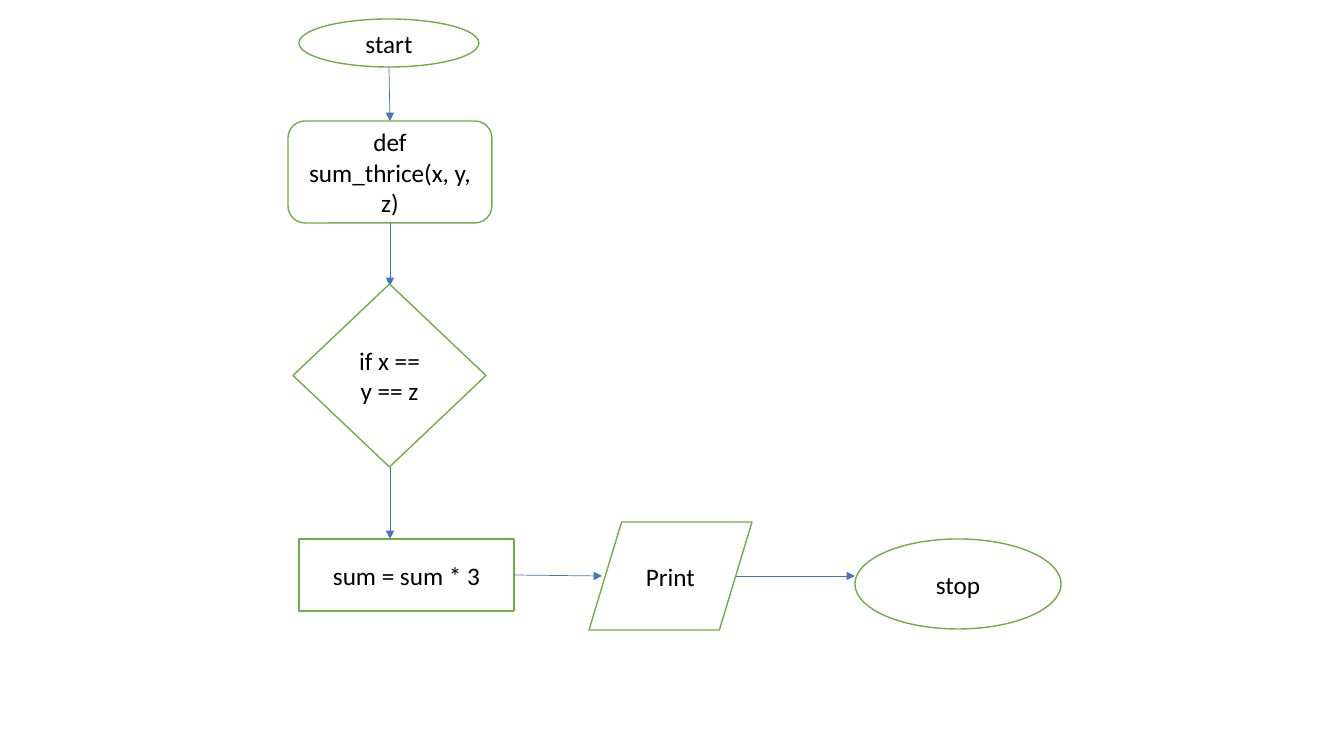
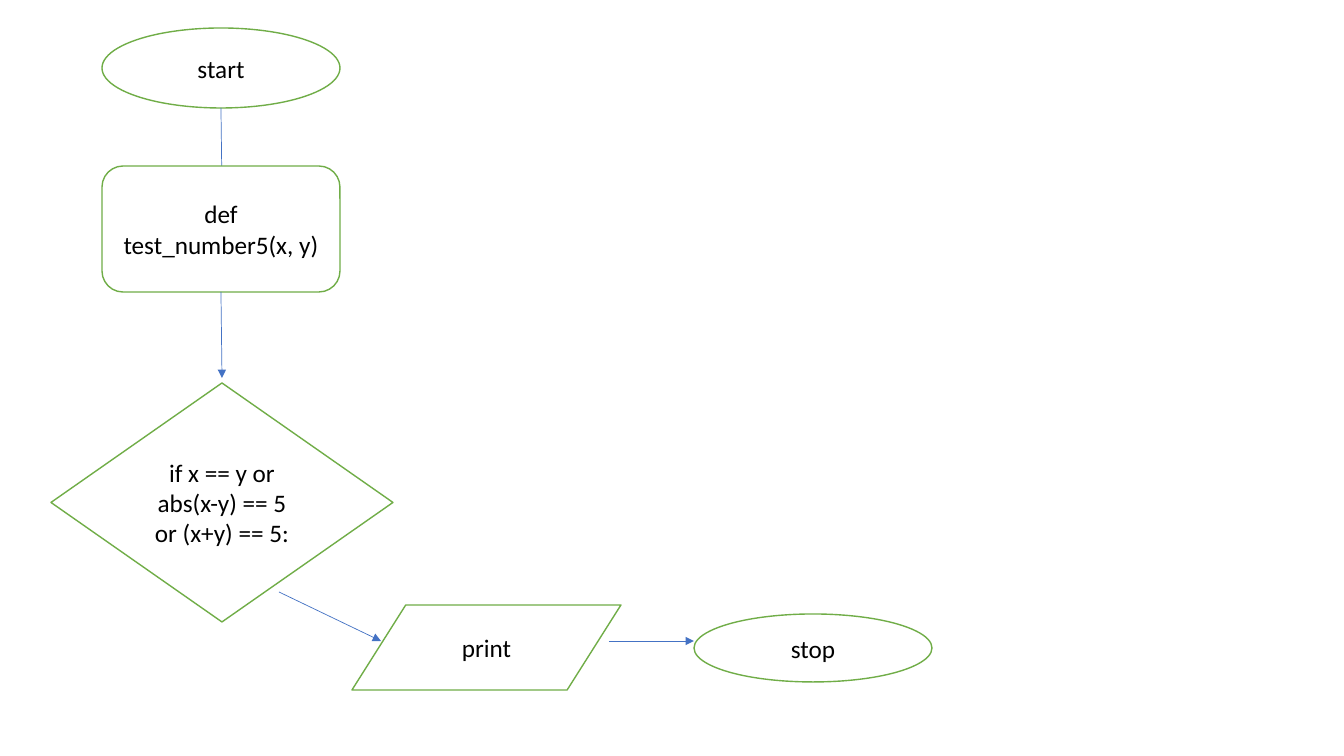
"""Draw two flowcharts, one on each slide."""
from typing import NamedTuple, Optional

from lxml import etree
from pptx import Presentation
from pptx.dml.color import RGBColor
from pptx.enum.shapes import MSO_CONNECTOR, MSO_SHAPE
from pptx.enum.text import MSO_ANCHOR, PP_ALIGN
from pptx.oxml.ns import qn
from pptx.slide import Slide
from pptx.text.text import TextFrame
from pptx.util import Emu, Pt

OVAL = MSO_SHAPE.OVAL
ROUND = MSO_SHAPE.FLOWCHART_ALTERNATE_PROCESS
TEST = MSO_SHAPE.FLOWCHART_DECISION
TASK = MSO_SHAPE.FLOWCHART_PROCESS
DATA = MSO_SHAPE.FLOWCHART_DATA
STRAIGHT = MSO_CONNECTOR.STRAIGHT
MIDDLE = MSO_ANCHOR.MIDDLE
CENTER = PP_ALIGN.CENTER

WHITE = RGBColor(0xFF, 0xFF, 0xFF)
BLACK = RGBColor(0x00, 0x00, 0x00)
GREEN = RGBColor(0x70, 0xAD, 0x47)
BLUE = RGBColor(0x44, 0x72, 0xC4)
FONT = "Calibri"
SCALE = 914400 / 100.8
WIDTH, HEIGHT = 1344, 756
BLANK = 6


class Arrow(NamedTuple):
    """Start and end of an arrow, in pixels."""
    x1: int
    y1: int
    x2: int
    y2: int


class Step(NamedTuple):
    """A flowchart step and the arrow that leaves it."""
    kind: MSO_SHAPE
    text: str
    left: int
    top: int
    width: int
    height: int
    arrow: Optional[Arrow] = None


CHARTS = [
    [
        Step(OVAL, "start", 299, 19, 180, 48, Arrow(389, 67, 390, 121)),
        Step(ROUND, "def sum_thrice(x, y, z)", 288, 121, 204, 102,
             Arrow(390, 223, 390, 286)),
        Step(TEST, "if x == y == z", 293, 284, 193, 183,
             Arrow(390, 467, 390, 539)),
        Step(TASK, "sum = sum * 3", 299, 539, 215, 72,
             Arrow(514, 575, 602, 576)),
        Step(DATA, "Print", 589, 522, 163, 108, Arrow(736, 576, 855, 576)),
        Step(OVAL, "stop", 855, 539, 206, 90),
    ],
    [
        Step(OVAL, "start", 102, 28, 238, 80, Arrow(221, 108, 222, 188)),
        Step(ROUND, "def test_number5(x, y)", 102, 166, 238, 126,
             Arrow(221, 292, 222, 378)),
        Step(TEST, "if x == y or abs(x-y) == 5 or (x+y) == 5:",
             51, 383, 342, 239, Arrow(279, 592, 381, 641)),
        Step(DATA, "print", 352, 605, 269, 85, Arrow(609, 641, 694, 641)),
        Step(OVAL, "stop", 694, 614, 238, 68),
    ],
]


def emu(pixels: int) -> Emu:
    """Turn pixels into EMU."""
    return Emu(round(pixels * SCALE))


def write(frame: TextFrame, text: str, *, size: int = 18,
          color: RGBColor = BLACK, align: PP_ALIGN = CENTER) -> None:
    """Put formatted text in a frame."""
    frame.word_wrap = True
    frame.vertical_anchor = MIDDLE
    para = frame.paragraphs[0]
    para.alignment = align
    run = para.add_run()
    run.text = text
    run.font.name = FONT
    run.font.size = Pt(size)
    run.font.color.rgb = color


def draw_step(slide: Slide, step: Step) -> None:
    """Draw the outlined shape of a step with its text."""
    shape = slide.shapes.add_shape(
        step.kind, emu(step.left), emu(step.top),
        emu(step.width), emu(step.height))
    shape.shadow.inherit = False
    shape.fill.solid()
    shape.fill.fore_color.rgb = WHITE
    shape.line.color.rgb = GREEN
    shape.line.width = Pt(1)
    write(shape.text_frame, step.text)


def draw_arrow(slide: Slide, arrow: Arrow) -> None:
    """Draw a thin line with a triangle at its end."""
    link = slide.shapes.add_connector(STRAIGHT, *map(emu, arrow))
    link.line.color.rgb = BLUE
    link.line.width = Pt(0.5)
    etree.SubElement(link.line._get_or_add_ln(), qn("a:tailEnd"),
                     type="triangle")
    etree.SubElement(link._element.spPr, qn("a:effectLst"))


def main() -> None:
    """Build and save the slides."""
    deck = Presentation()
    deck.slide_width, deck.slide_height = emu(WIDTH), emu(HEIGHT)
    for chart in CHARTS:
        slide = deck.slides.add_slide(deck.slide_layouts[BLANK])
        for step in chart:
            draw_step(slide, step)
            if step.arrow:
                draw_arrow(slide, step.arrow)
    deck.save("out.pptx")


main()
